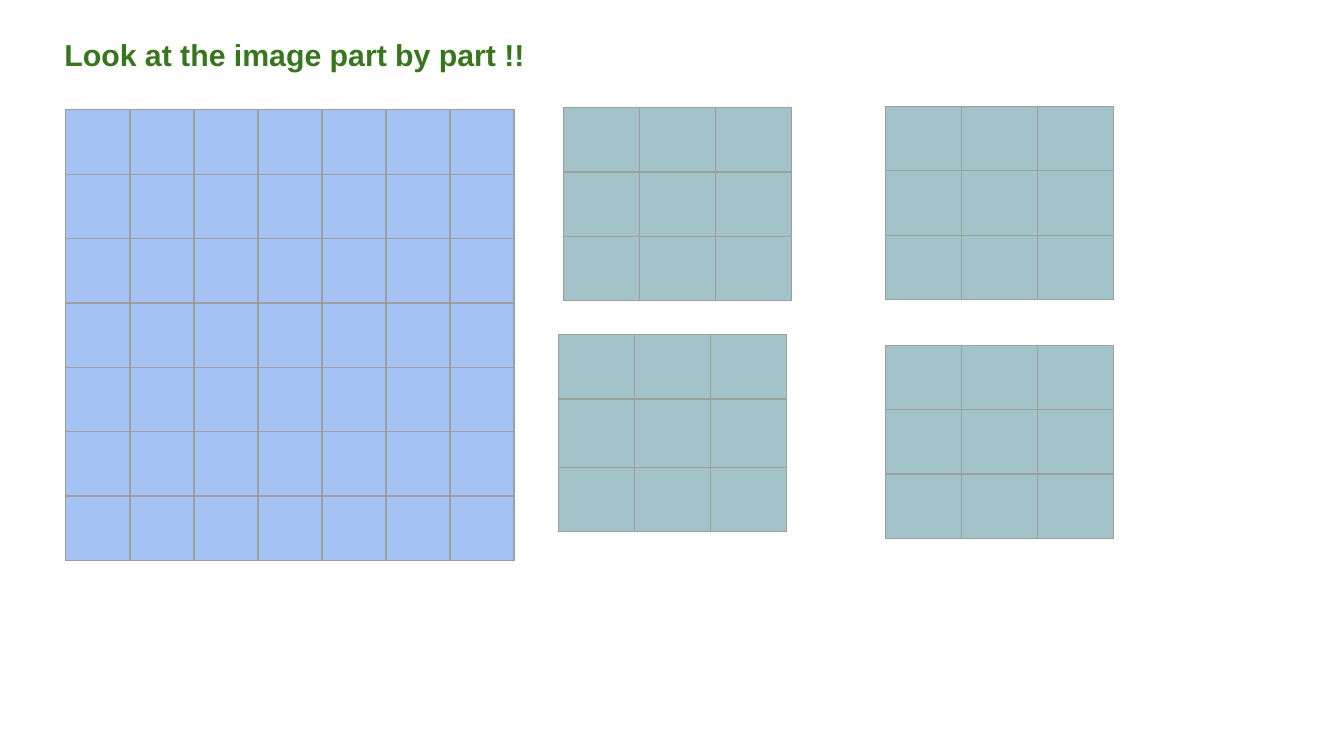
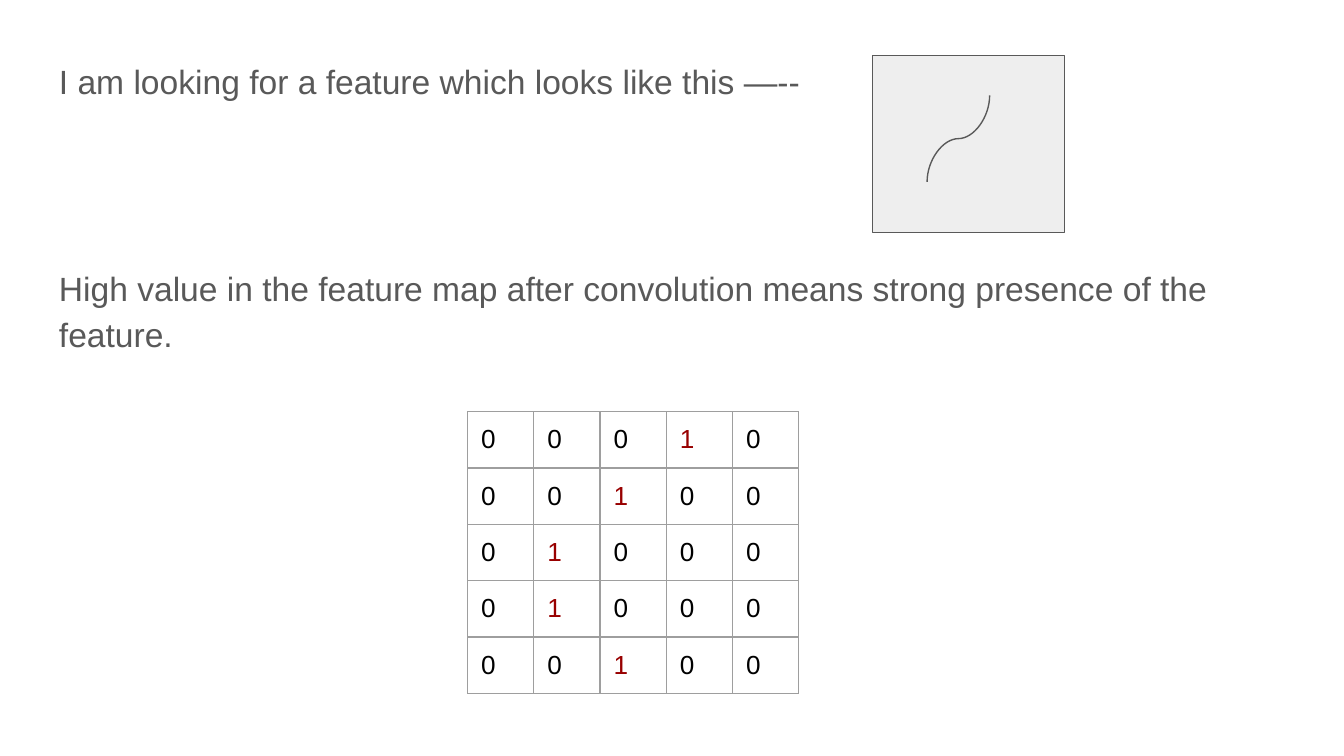
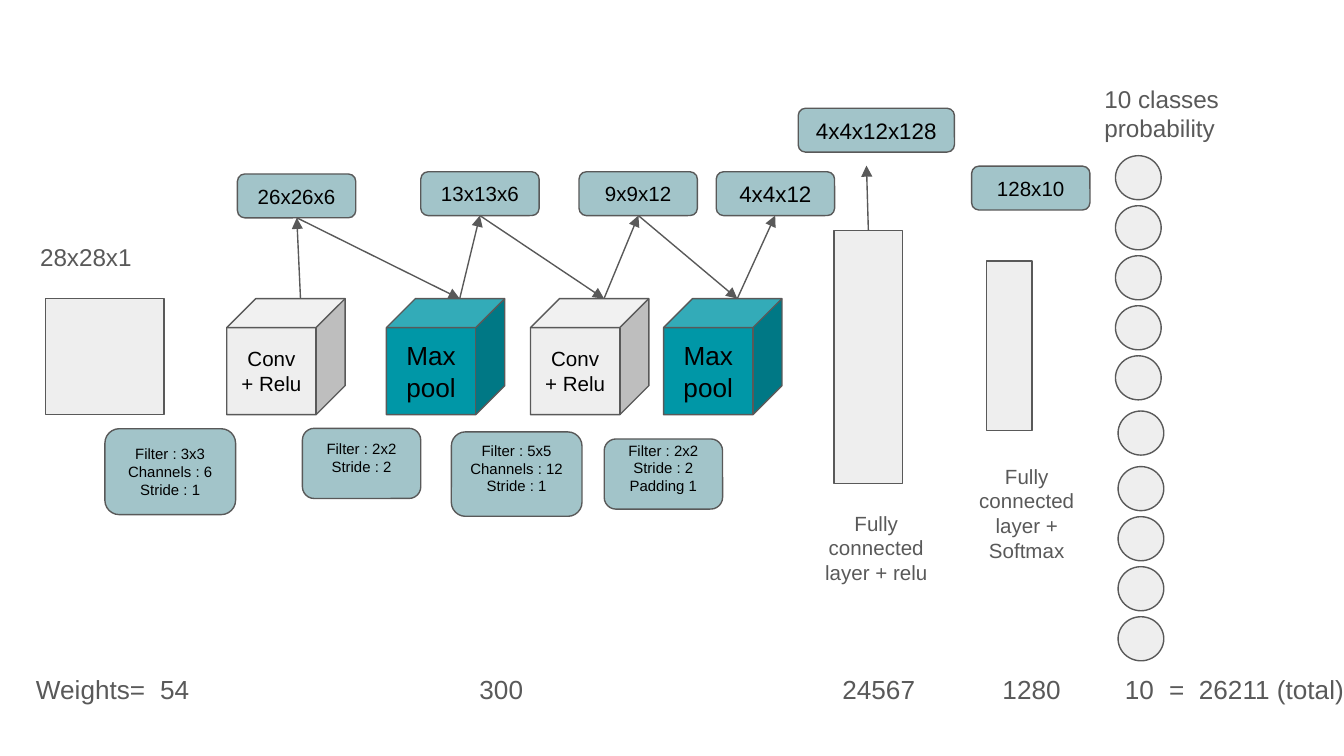
from lxml import etree
from pptx import Presentation
from pptx import util as u
from pptx.dml.color import RGBColor
from pptx.enum import shapes, text
from pptx.oxml import ns

GREY = "595959"
PALE = "EEEEEE"
TEAL = "0097A7"
MIST = "A2C4C9"
SKY = "A4C2F4"
GREEN = "38761D"
RED = "980000"
BLACK = "000000"
GRID = "9E9E9E"
FONT = "Arial"
INSET = 7.2
KIND = shapes.MSO_SHAPE
LEFT, CENTER = text.PP_ALIGN.LEFT, text.PP_ALIGN.CENTER


def rgb(value):
    return RGBColor.from_string(value)


def child(parent, tag, **attributes):
    return etree.SubElement(parent, ns.qn(tag), attributes)


def write(frame, content, size=14, color=GREY, bold=False, align=LEFT,
          spacing=None, gap=0, tabs=()):
    for index, line in enumerate(content.split("\n")):
        para = frame.add_paragraph() if index else frame.paragraphs[0]
        para.alignment = align
        if spacing:
            para.line_spacing = spacing
        if index and gap:
            para.space_before = u.Pt(gap)
        if tabs:
            stops = child(para._p.get_or_add_pPr(), "a:tabLst")
            for stop in tabs:
                child(stops, "a:tab", pos=str(u.Pt(stop)), algn="l")
        span = para.add_run()
        span.text = line
        span.font.name = FONT
        span.font.size = u.Pt(size)
        span.font.bold = bold
        span.font.color.rgb = rgb(color)


class Sketch:
    def __init__(self):
        self.deck = Presentation()
        self.deck.slide_width = u.Pt(720)
        self.deck.slide_height = u.Pt(405)
        self.page = None

    def new_page(self):
        self.page = self.deck.slides.add_slide(self.deck.slide_layouts[6])

    def label(self, left, top, width, height, content, **style):
        box = self.page.shapes.add_textbox(*map(u.Pt, (left, top, width, height)))
        frame = box.text_frame
        frame.word_wrap = True
        frame.margin_left = frame.margin_right = u.Pt(INSET)
        frame.margin_top = frame.margin_bottom = u.Pt(INSET)
        write(frame, content, **style)

    def shape(self, kind, left, top, width, height, fill=PALE, content="",
              size=11, lift=0):
        box = self.page.shapes.add_shape(kind, *map(u.Pt, (left, top, width, height)))
        box.shadow.inherit = False
        box.fill.solid()
        box.fill.fore_color.rgb = rgb(fill)
        box.line.color.rgb = rgb(GREY)
        box.line.width = u.Pt(0.75)
        if content:
            frame = box.text_frame
            frame.word_wrap = True
            frame.vertical_anchor = text.MSO_ANCHOR.MIDDLE
            frame.margin_left = frame.margin_right = u.Pt(INSET)
            frame.margin_top, frame.margin_bottom = 0, u.Pt(lift)
            write(frame, content, size=size, color=BLACK, align=CENTER)

    def tag(self, left, top, width, height, content, **style):
        self.shape(KIND.ROUNDED_RECTANGLE, left, top, width, height, MIST,
                   content, **style)

    def line(self, start, end, kind=shapes.MSO_CONNECTOR.STRAIGHT,
             turn=0, arrow=True):
        link = self.page.shapes.add_connector(kind, *map(u.Pt, (*start, *end)))
        link.line.color.rgb = rgb(GREY)
        link.line.width = u.Pt(0.75)
        properties = link._element.spPr
        if arrow:
            child(link.line._get_or_add_ln(), "a:tailEnd", type="triangle")
        if turn:
            properties.find(ns.qn("a:xfrm")).set("rot", str(turn * 60000))
        child(properties, "a:effectLst")

    def grid(self, left, top, column, heights, count, fill=None, values=()):
        size = (left, top, column * count, sum(heights))
        table = self.page.shapes.add_table(
            len(heights), count, *map(u.Pt, size)).table
        table.first_row = table.horz_banding = False
        for each in table.columns:
            each.width = u.Pt(column)
        for row, height in zip(table.rows, heights):
            row.height = u.Pt(height)
            for cell in row.cells:
                self.style_cell(cell, fill)
        for row, digits in zip(table.rows, values):
            for cell, digit in zip(row.cells, digits):
                write(cell.text_frame, digit, color=RED if digit == "1" else BLACK)

    def style_cell(self, cell, fill):
        cell.margin_left = cell.margin_right = u.Pt(INSET)
        cell.vertical_anchor = text.MSO_ANCHOR.MIDDLE
        properties = cell._tc.get_or_add_tcPr()
        for side in ("a:lnL", "a:lnR", "a:lnT", "a:lnB"):
            edge = child(properties, side, w=str(u.Pt(0.75)))
            child(child(edge, "a:solidFill"), "a:srgbClr", val=GRID)
        if fill:
            cell.fill.solid()
            cell.fill.fore_color.rgb = rgb(fill)
        else:
            cell.fill.background()


def image_parts(sketch):
    sketch.new_page()
    sketch.label(27.4, 12.2, 671, 45.4, "Look at the image part by part !!",
                 size=16.2, color=GREEN, bold=True)
    sketch.grid(35.3, 58.8, 34.3, [34.5] * 7, 7, SKY)
    for left, top, middle in ((301.7, 57.6, 34.5), (299, 179.3, 36.5),
                              (474.2, 185, 34.5), (474.2, 57, 34.5)):
        sketch.grid(left, top, 40.8, [34.5, middle, 34.5], 3, MIST)


def feature_search(sketch):
    sketch.new_page()
    sketch.label(24.5, 22.3, 671, 269.3,
                 "I am looking for a feature which looks like this —--\n"
                 "High value in the feature map after convolution means "
                 "strong presence of the feature.",
                 size=18, spacing=1.15, gap=86)
    sketch.shape(KIND.RECTANGLE, 467.3, 29.6, 103, 95)
    sketch.line((490.3, 57.5), (536.6, 91), shapes.MSO_CONNECTOR.CURVE,
                turn=270, arrow=False)
    sketch.grid(250.5, 220.5, 35.5, [30.2] * 5, 5,
                values=("00010", "00100", "01000", "01000", "00100"))


def network(sketch):
    sketch.new_page()
    sketch.shape(KIND.RECTANGLE, 24.4, 160, 63.4, 62.2)
    conv, pool = (PALE, "Conv + Relu", 11), (TEAL, "Max pool", 14)
    for left, layer in zip((121.5, 207, 284.2, 355.5), (conv, pool) * 2):
        sketch.shape(KIND.CUBE, left, 160, 63.4, 62.2, *layer)
    sketch.shape(KIND.RECTANGLE, 446.8, 123.5, 36.7, 135.5)
    sketch.shape(KIND.RECTANGLE, 528.5, 139.8, 24.4, 90.8)

    step = 26.8
    classes = [(597.6, 83.4 + step * i) for i in range(5)]
    classes += [(599, 220.2)] + [(599, 250 + step * i) for i in range(4)]
    for left, top in classes:
        sketch.shape(KIND.OVAL, left, top, 24.5, 23.6)

    sketch.label(14.4, 122.4, 83.5, 30.2, "28x28x1", size=13)
    sketch.label(427.7, 266.4, 83.5, 54.7, "Fully connected layer + relu",
                 size=11, align=CENTER)
    sketch.label(508.3, 241.2, 83.5, 67.7, "Fully connected layer + Softmax",
                 size=11, align=CENTER)
    sketch.label(584.6, 37.8, 114.5, 46, "10 classes probability", size=13)

    for left, top, width, height, lift, content in (
            (56.2, 229.7, 70, 46, 0, "Filter : 3x3\nChannels : 6\nStride : 1"),
            (162, 229.5, 63.4, 37.6, 6.5, "Filter : 2x2\nStride : 2"),
            (241.8, 231.4, 70, 45.2, 6.5, "Filter : 5x5\nChannels : 12\nStride : 1"),
            (323.7, 235.2, 63.4, 37.6, 6.5, "Filter : 2x2\nStride : 2\nPadding 1")):
        sketch.tag(left, top, width, height, content, size=8, lift=lift)

    for left, top, width, content, size in (
            (127.2, 93.2, 63.4, "26x26x6", 11),
            (225.4, 92, 63.4, "13x13x6", 11),
            (310.2, 92, 63.4, "9x9x12", 11),
            (383.7, 92, 63.4, "4x4x12", 12),
            (427.6, 58, 83.7, "4x4x12x128", 12),
            (520.5, 89, 63.4, "128x10", 11)):
        sketch.tag(left, top, width, 23.5, content, size=size)

    route = [(161, 160), (159, 116.7), (246.3, 160), (257.1, 115.5),
             (323.6, 160), (342, 115.5), (395, 160), (415.3, 115.5)]
    for start, end in zip(route, route[1:]):
        sketch.line(start, end)
    sketch.line((465.2, 123.5), (464.2, 88.7))

    sketch.label(12.2, 353.5, 737, 37.4,
                 "Weights=\t54\t300\t24567\t1280\t10\t=\t26211 (total)",
                 tabs=(66.5, 237.6, 432, 517.8, 583.4, 607, 623))


def main():
    sketch = Sketch()
    image_parts(sketch)
    feature_search(sketch)
    network(sketch)
    sketch.deck.save("out.pptx")


if __name__ == "__main__":
    main()
